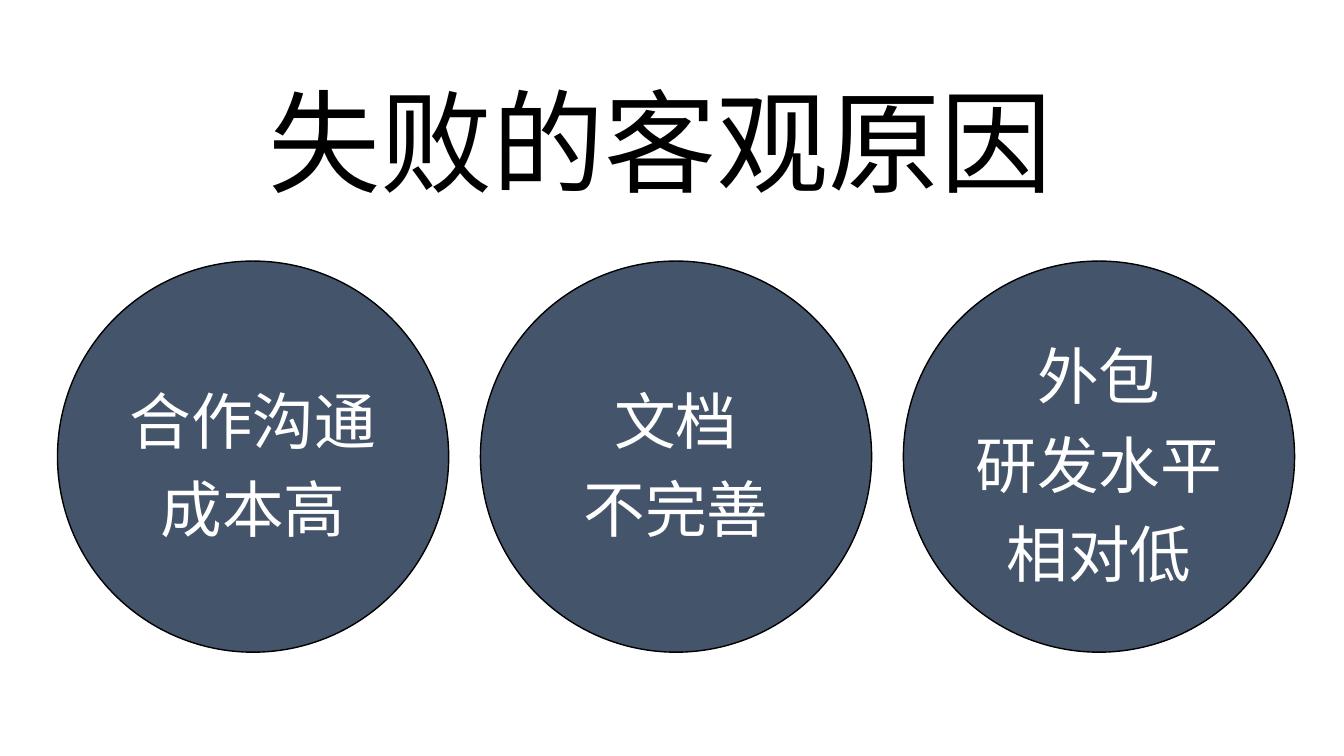
from pptx import Presentation
from pptx.dml.color import RGBColor
from pptx.enum.shapes import MSO_SHAPE
from pptx.enum.text import MSO_ANCHOR, PP_ALIGN
from pptx.oxml.ns import qn
from pptx.util import Inches, Pt

OVAL = MSO_SHAPE.OVAL
MIDDLE = MSO_ANCHOR.MIDDLE
CENTER = PP_ALIGN.CENTER

FONT = "Noto Sans CJK SC"
BLACK, WHITE, SLATE = "000000", "FFFFFF", "44546A"
REASONS = [
    ["合作沟通", "成本高"],
    ["文档", "不完善"],
    ["外包", "研发水平", "相对低"],
]
LEFT, TOP, DIAMETER, PITCH = 0.57, 2.59, 3.88, 4.195


def rgb(color):
    return RGBColor.from_string(color)


def set_attrs(obj, values):
    for name, value in values.items():
        setattr(obj, name, value)


def write_lines(tf, lines, size, color, spacing):
    set_attrs(tf, {"word_wrap": True, "vertical_anchor": MIDDLE})
    for i, line in enumerate(lines):
        p = tf.add_paragraph() if i else tf.paragraphs[0]
        set_attrs(p, {"alignment": CENTER, "line_spacing": spacing,
                      "space_before": Pt(0)})
        r = p.add_run()
        r.text = line
        set_attrs(r.font, {"name": FONT, "size": Pt(size), "bold": False})
        r.font.color.rgb = rgb(color)
        # East Asian typeface follows the Latin one
        ea = r.font._element.makeelement(qn("a:ea"), {"typeface": FONT})
        r.font._element.find(qn("a:latin")).addnext(ea)


def add_title(s, text):
    sp = s.shapes.title
    set_attrs(sp, {"left": Inches(0.45), "top": Inches(0.65),
                   "width": Inches(12.2), "height": Inches(1.47)})
    write_lines(sp.text_frame, [text], 80, BLACK, 1.0)


def add_circle(s, left, lines):
    sp = s.shapes.add_shape(OVAL, Inches(left), Inches(TOP),
                            Inches(DIAMETER), Inches(DIAMETER))
    sp.shadow.inherit = False
    sp.fill.solid()
    sp.fill.fore_color.rgb = rgb(SLATE)
    sp.line.color.rgb = rgb(BLACK)
    sp.line.width = Pt(1)
    write_lines(sp.text_frame, lines, 44, WHITE, 1.2)


def main():
    prs = Presentation()
    set_attrs(prs, {"slide_width": Inches(13.33), "slide_height": Inches(7.5)})
    s = prs.slides.add_slide(prs.slide_layouts[5])

    # Title
    add_title(s, "失败的客观原因")

    # Row of reasons
    for i, lines in enumerate(REASONS):
        add_circle(s, LEFT + i * PITCH, lines)

    prs.save("out.pptx")


if __name__ == "__main__":
    main()
